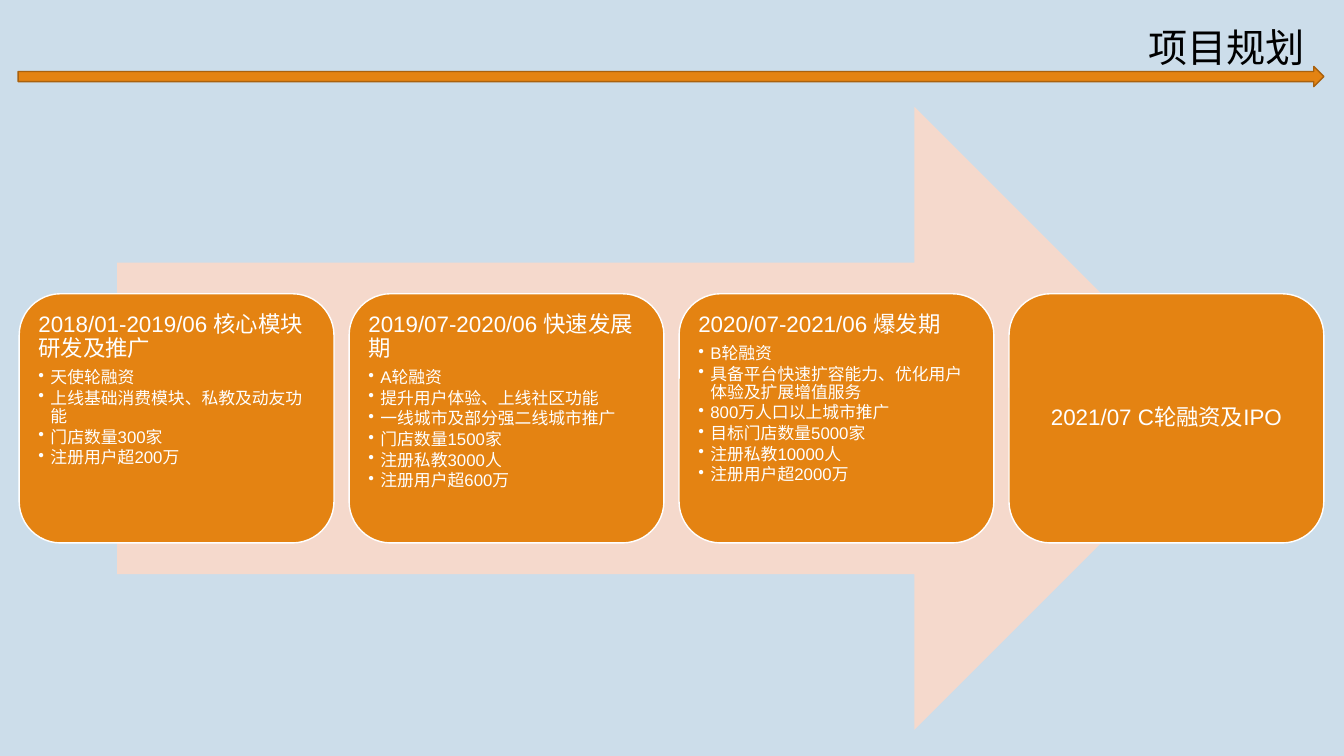
import dataclasses

import pptx
import pptx.dml.color
import pptx.enum.shapes
import pptx.enum.text
import pptx.oxml.ns
import pptx.util
from lxml import etree

SHAPE = pptx.enum.shapes.MSO_SHAPE
ALIGN = pptx.enum.text.PP_ALIGN
ANCHOR = pptx.enum.text.MSO_ANCHOR
Inches = pptx.util.Inches


@dataclasses.dataclass(frozen=True)
class Theme:
    background: str = "CCDDEA"
    accent: str = "E48312"
    accent_edge: str = "A9610D"
    backdrop: str = "F5D9CC"
    card_edge: str = "FFFFFF"
    card_text: str = "FFFFFF"
    title_text: str = "000000"
    font: str = "Arial"
    title_size: int = 28
    heading_size: int = 16
    detail_size: int = 12


THEME = Theme()
WIDTH, HEIGHT = 13.33, 7.5
CARD_GAP = 0.15
CARD_MARGIN = 0.07
BULLET_INDENT = 0.12

STAGES = [
    ("2018/01-2019/06 核心模块研发及推广",
     ["天使轮融资", "上线基础消费模块、私教及动友功能", "门店数量300家",
      "注册用户超200万"]),
    ("2019/07-2020/06 快速发展期",
     ["A轮融资", "提升用户体验、上线社区功能", "一线城市及部分强二线城市推广",
      "门店数量1500家", "注册私教3000人", "注册用户超600万"]),
    ("2020/07-2021/06 爆发期",
     ["B轮融资", "具备平台快速扩容能力、优化用户体验及扩展增值服务",
      "800万人口以上城市推广", "目标门店数量5000家", "注册私教10000人",
      "注册用户超2000万"]),
    ("2021/07 C轮融资及IPO", []),
]


def rgb(color):
    return pptx.dml.color.RGBColor.from_string(color)


def add_block(slide, preset, box, fill, edge=None):
    block = slide.shapes.add_shape(preset, *map(Inches, box))
    block.shadow.inherit = False
    block.fill.solid()
    block.fill.fore_color.rgb = rgb(fill)
    if edge:
        block.line.color.rgb = rgb(edge)
        block.line.width = pptx.util.Pt(1)
    else:
        block.line.fill.background()
    return block


def write(paragraph, text, *, size, color, align=ALIGN.LEFT, spacing=1.0,
          after=0.0, bullet=False):
    """Fill a paragraph; after is the space below as a share of the type size."""
    paragraph.alignment = align
    paragraph.line_spacing = spacing
    paragraph.space_before = pptx.util.Pt(0)
    paragraph.space_after = pptx.util.Pt(size * after)
    run = paragraph.add_run()
    run.text = text
    run.font.name = THEME.font
    run.font.size = pptx.util.Pt(size)
    run.font.color.rgb = rgb(color)
    if bullet:
        paragraph.level = 1
        properties = paragraph._p.get_or_add_pPr()
        properties.set("marL", str(Inches(BULLET_INDENT)))
        properties.set("indent", str(-Inches(BULLET_INDENT)))
        mark = etree.SubElement(properties, pptx.oxml.ns.qn("a:buChar"))
        mark.set("char", "•")


def place_title(slide, text, box):
    title = slide.shapes.title
    title.left, title.top, title.width, title.height = map(Inches, box)
    frame = title.text_frame
    frame.word_wrap = False
    frame.auto_size = pptx.enum.text.MSO_AUTO_SIZE.NONE
    frame.vertical_anchor = ANCHOR.TOP
    write(frame.paragraphs[0], text, size=THEME.title_size,
          color=THEME.title_text)


def add_stage_card(slide, box, heading, details):
    card = add_block(slide, SHAPE.ROUNDED_RECTANGLE, box, THEME.accent,
                     THEME.card_edge)
    frame = card.text_frame
    frame.word_wrap = True
    frame.margin_left = frame.margin_right = Inches(CARD_MARGIN)
    frame.margin_top = frame.margin_bottom = Inches(CARD_MARGIN)
    frame.vertical_anchor = ANCHOR.TOP if details else ANCHOR.MIDDLE
    write(frame.paragraphs[0], heading, size=THEME.heading_size,
          color=THEME.card_text, spacing=0.9, after=0.35,
          align=ALIGN.LEFT if details else ALIGN.CENTER)
    for detail in details:
        write(frame.add_paragraph(), detail, size=THEME.detail_size,
              color=THEME.card_text, spacing=0.9, after=0.15, bullet=True)


def add_roadmap(slide, box):
    """Lay the stages in a row across the box, over a wide arrow."""
    left, top, width, height = box
    arrow_width = width * 0.85
    add_block(slide, SHAPE.RIGHT_ARROW,
              (left + (width - arrow_width) / 2, top, arrow_width, height),
              THEME.backdrop)
    card_width = (width - CARD_GAP * (len(STAGES) - 1)) / len(STAGES)
    card_height = height * 0.4
    card_top = top + (height - card_height) / 2
    for column, (heading, details) in enumerate(STAGES):
        card_left = left + column * (card_width + CARD_GAP)
        add_stage_card(slide, (card_left, card_top, card_width, card_height),
                       heading, details)


def add_header(slide, box):
    """Put the title at the right end of the box, above a thin arrow."""
    left, top, width, height = box
    add_block(slide, SHAPE.RIGHT_ARROW,
              (left, top + height - 0.2, width, 0.2),
              THEME.accent, THEME.accent_edge)
    title_width = 1.84
    place_title(slide, "项目规划",
                (left + width - title_width, top, title_width, 0.57))


def main():
    deck = pptx.Presentation()
    deck.slide_width, deck.slide_height = Inches(WIDTH), Inches(HEIGHT)
    slide = deck.slides.add_slide(deck.slide_layouts.get_by_name("Title Only"))
    slide.background.fill.solid()
    slide.background.fill.fore_color.rgb = rgb(THEME.background)
    add_roadmap(slide, (0.19, 1.06, 12.94, 6.18))
    add_header(slide, (0.18, 0.18, 12.95, 0.68))
    deck.save("out.pptx")


if __name__ == "__main__":
    main()
